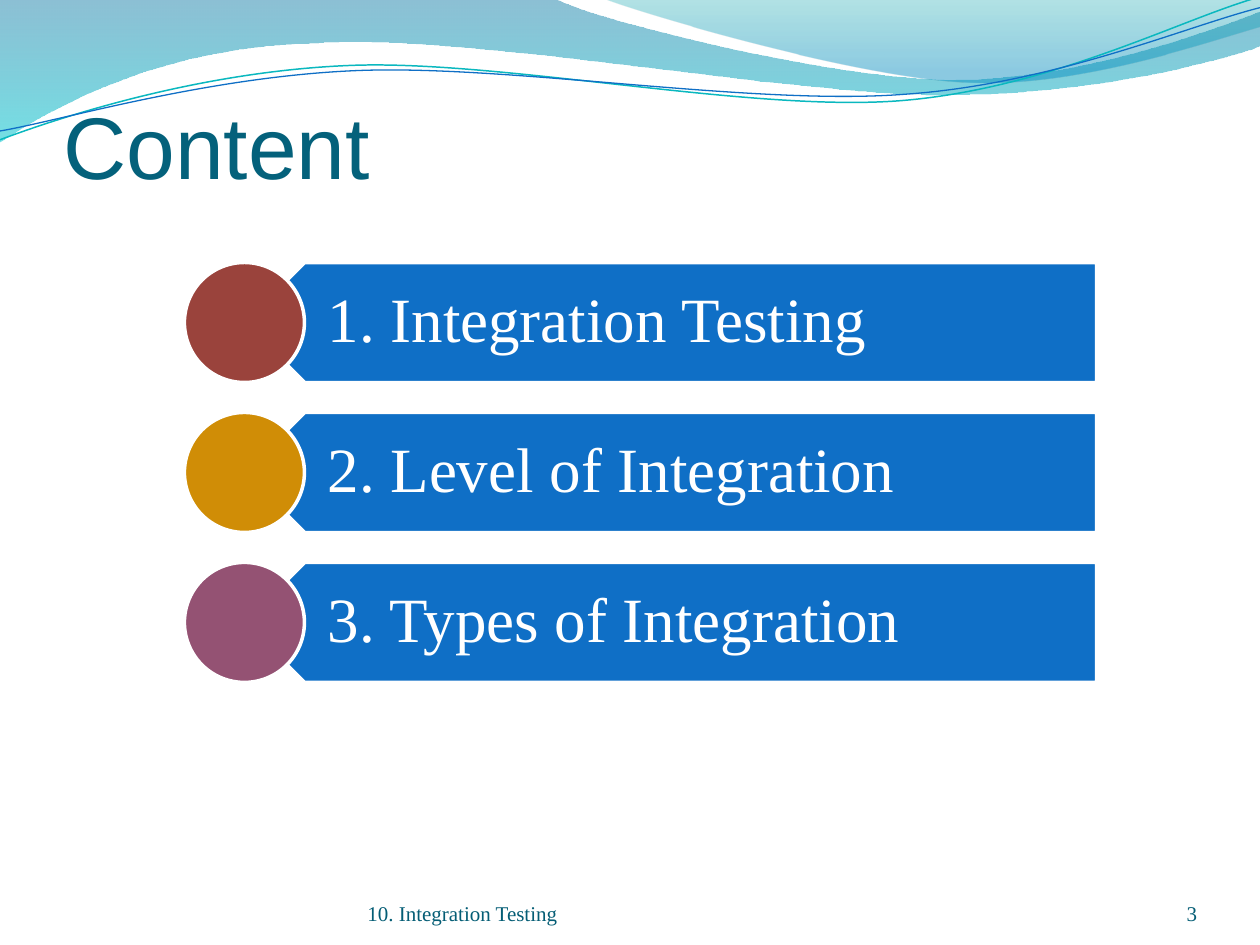
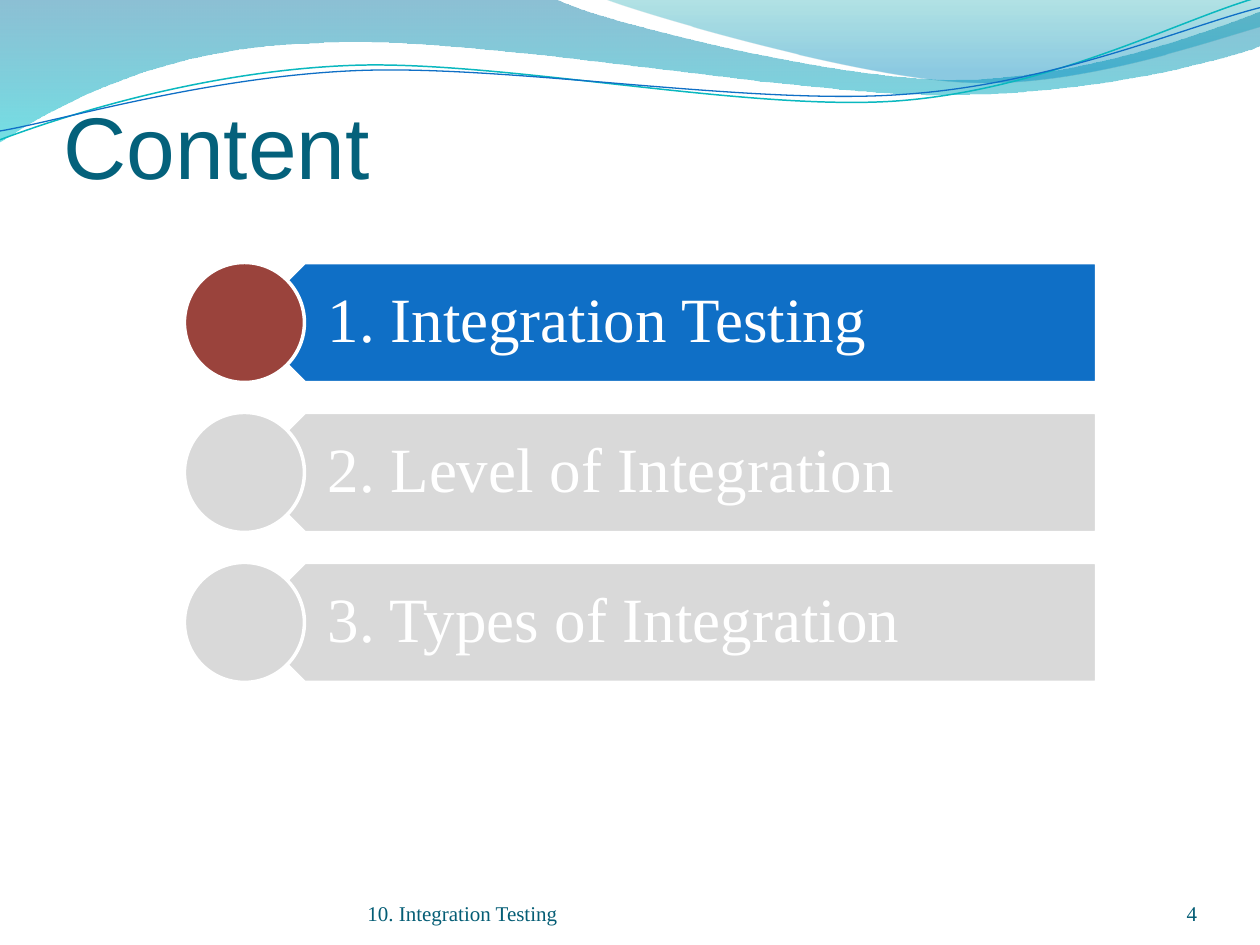
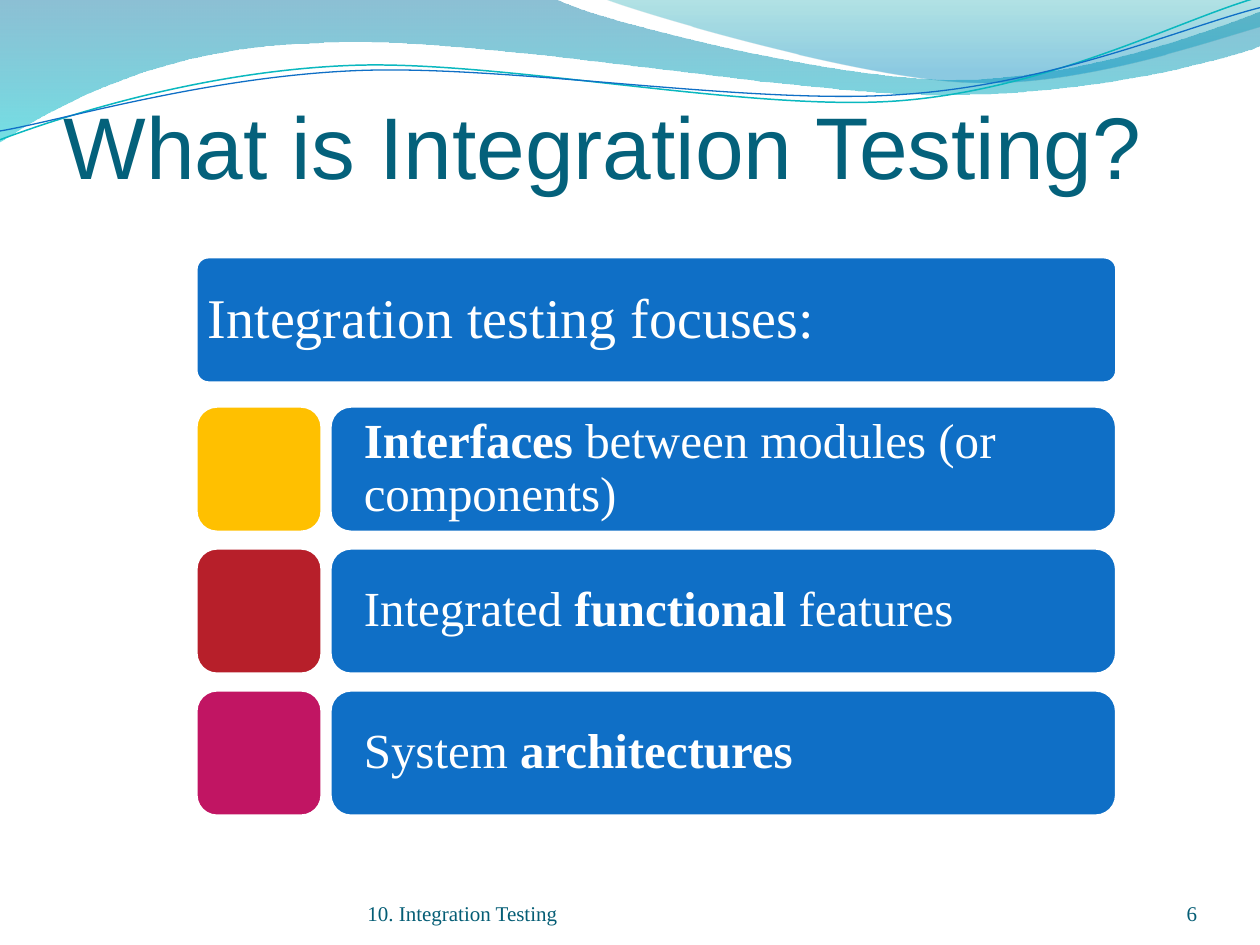
"""Build three slides on integration testing, with a wave header and footers."""
from itertools import islice
from lxml.etree import SubElement
from pptx import Presentation
from pptx.dml.color import RGBColor
from pptx.enum.shapes import MSO_SHAPE as Preset
from pptx.enum.text import MSO_ANCHOR as Anchor, PP_ALIGN as Align
from pptx.oxml.ns import qn
from pptx.util import Pt

WHITE = RGBColor(0xFF, 0xFF, 0xFF)
BLUE = RGBColor(0x0F, 0x6F, 0xC6)
TEAL = RGBColor(0x0A, 0xB8, 0xBF)
GRAY = RGBColor(0xD9, 0xD9, 0xD9)
TITLE_COLOR = RGBColor(0x04, 0x61, 0x7B)
FOOTER_COLOR = RGBColor(0x04, 0x5D, 0x75)
BRICK = RGBColor(0x9A, 0x43, 0x3C)
OCHRE = RGBColor(0xD0, 0x8D, 0x06)
MAUVE = RGBColor(0x94, 0x52, 0x73)
YELLOW = RGBColor(0xFF, 0xC0, 0x00)
RED = RGBColor(0xB7, 0x1F, 0x2A)
MAGENTA = RGBColor(0xC1, 0x15, 0x63)
DEEP_BLUE = RGBColor(0x00, 0x74, 0xA1)
AQUA = RGBColor(0x00, 0xC6, 0xCF)
SEA_GREEN = RGBColor(0x00, 0xA1, 0xA9)
SKY_BLUE = RGBColor(0x00, 0x8B, 0xBF)

TITLE = {"name": "Arial", "size": Pt(50), "color": TITLE_COLOR}
FOOTER = {"name": "Times New Roman", "size": Pt(12), "color": FOOTER_COLOR}
BODY = {"name": "Times New Roman", "color": WHITE}
TOPIC = {**BODY, "size": Pt(36)}
HEADING = {**BODY, "size": Pt(32)}
FOCUS = {**BODY, "size": Pt(28)}

LINE_TILT = -2.7
BANDS = [
    ((0, 0),
     [[(316.8, -0.72)],
      [(342.72, 12.24), (478.08, 45.36), (545.76, 45.36)],
      [(614.16, 45.36), (689.76, 18.72), (720, 6.48)],
      [(720.72, 25.92)],
      [(707.76, 31.68), (626.4, 54.72), (537.12, 54)],
      [(447.84, 54), (275.04, 20.16), (185.04, 24.48)],
      [(92.88, 25.92), (33.12, 59.76), (-0.72, 81.36)],
      [(0, 0)]],
     [(0, DEEP_BLUE, 45), (1, AQUA, 55)], None),
    ((344.88, -0.72),
     [[(366.48, 7.92), (491.04, 44.64), (553.68, 46.8)],
      [(616.32, 49.68), (691.92, 23.04), (720, 15.12)],
      [(720, 0)],
      [(344.88, -0.72)]],
     [(0, SEA_GREEN, 30), (0.8, SKY_BLUE, 45)], None),
    ((-1.4, 62.9),
     [[(33.7, 51.6), (114, 29.4), (199.8, 29.9)],
      [(284.8, 30.3), (425.8, 67.2), (512.4, 64.9)],
      [(599, 62.4), (676.4, 25.7), (720.2, 15.6)]],
     None, (TEAL, 0.85)),
    ((-1.2, 57.9),
     [[(33, 53.8), (118.3, 32.5), (204, 33)],
      [(290.5, 33.5), (428.9, 63.8), (515.5, 61.3)],
      [(601.4, 59.6), (678.5, 30.1), (721.4, 21.4)]],
     None, (BLUE, 0.75)),
]

TOPICS = ["1. Integration Testing", "2. Level of Integration", "3. Types of Integration"]
CONTENT_COLORS = [
    [(BRICK, BLUE), (OCHRE, BLUE), (MAUVE, BLUE)],
    [(BRICK, BLUE), (GRAY, GRAY), (GRAY, GRAY)],
]
FOCUSES = [
    (YELLOW, [("Interfaces", True), (" between modules (or components)", False)]),
    (RED, [("Integrated ", False), ("functional", True), (" features", False)]),
    (MAGENTA, [("System ", False), ("architectures", True)]),
]


def add_block(slide, preset, box, color, corner=None):
    """Add a filled preset shape with a white outline."""
    shape = slide.shapes.add_shape(preset, *map(Pt, box))
    shape.shadow.inherit = False
    shape.fill.solid()
    shape.fill.fore_color.rgb = color
    shape.line.color.rgb = WHITE
    shape.line.width = Pt(2)
    if corner:
        shape.adjustments[0] = corner
    return shape


def add_text(slide, box, runs, style, margins=(0, 0, 0, 0), anchor=Anchor.MIDDLE,
             align=Align.LEFT, spacing=0.9):
    """Add a text box with one paragraph of (text, bold) runs."""
    frame = slide.shapes.add_textbox(*map(Pt, box)).text_frame
    sides = ("margin_left", "margin_top", "margin_right", "margin_bottom")
    layout = {"word_wrap": True, "vertical_anchor": anchor, **dict(zip(sides, map(Pt, margins)))}
    for name, value in layout.items():
        setattr(frame, name, value)
    paragraph = frame.paragraphs[0]
    paragraph.alignment = align
    paragraph.line_spacing = spacing
    for text, bold in runs:
        run = paragraph.add_run()
        run.text = text
        run.font.bold = bold
        for name, value in style.items():
            if name == "color":
                run.font.color.rgb = value
            else:
                setattr(run.font, name, value)


presentation = Presentation()
presentation.slide_width = Pt(720)
presentation.slide_height = Pt(540)
content, progress, focus = [presentation.slides.add_slide(presentation.slide_layouts[6])
                            for _ in range(3)]

master_tree = presentation.slide_master.element.cSld.spTree
for number, (start, segments, gradient, stroke) in enumerate(BANDS, 101):
    outline = [(Pt(x), Pt(y)) for segment in segments for x, y in segment]
    builder = content.shapes.build_freeform(*map(Pt, start), scale=1.0)
    builder.add_line_segments(outline, close=gradient is not None)
    band = builder.convert_to_shape()
    band.shadow.inherit = False
    lines = iter(list(band.element.iter(qn("a:lnTo"))))
    for segment in segments:
        curve, *controls = islice(lines, len(segment))
        if controls:
            curve.tag = qn("a:cubicBezTo")
        for control in controls:
            curve.extend(list(control))
            control.getparent().remove(control)
    if gradient:
        band.line.fill.background()
        band.fill.gradient()
        band.fill.gradient_angle = 270
        for stop, (position, color, _) in zip(band.fill.gradient_stops, gradient):
            stop.position = position
            stop.color.rgb = color
        for element, (_, _, opacity) in zip(band.element.iter(qn("a:srgbClr")), gradient):
            SubElement(element, qn("a:alpha"), val=str(opacity * 1000))
    else:
        band.fill.background()
        band.line.color.rgb, band.line.width = stroke[0], Pt(stroke[1])
        band.rotation = LINE_TILT
    band.element.nvSpPr.cNvPr.set("id", str(number))
    master_tree.append(band.element)

for slide, title, number in [(content, "Content", "3"), (progress, "Content", "4"),
                             (focus, "What is Integration Testing?", "6")]:
    add_text(slide, (36.3, 47.8, 648, 64.8), [(title, False)], TITLE, (0, 3.6, 0, 0),
             Anchor.BOTTOM, spacing=1.0)
    add_text(slide, (210, 500.4, 264, 28.8), [("10. Integration Testing", False)], FOOTER,
             anchor=Anchor.BOTTOM, spacing=1.0)
    add_text(slide, (624, 500.4, 60, 28.8), [(number, False)], FOOTER,
             anchor=Anchor.BOTTOM, align=Align.RIGHT, spacing=1.0)

for slide, colors in zip((content, progress), CONTENT_COLORS):
    for index, (topic, (dot_color, bar_color)) in enumerate(zip(TOPICS, colors)):
        top = 150 + index * 85.7
        bar = add_block(slide, Preset.PENTAGON, (139.8, top, 486.8, 68.6), bar_color)
        bar.rotation = 180
        add_text(slide, (157, top, 469.4, 68.6), [(topic, False)], TOPIC, (30.2, 10.8, 20.2, 10.8))
        add_block(slide, Preset.OVAL, (105.4, top, 68.6, 68.6), dot_color)

add_block(focus, Preset.ROUNDED_RECTANGLE, (111.9, 146.7, 526.3, 72.2), BLUE, 0.1)
add_text(focus, (113.8, 149, 522, 68.4), [("Integration testing focuses:", False)], HEADING,
         (5, 2.9, 5, 2.9))
for index, (color, runs) in enumerate(FOCUSES):
    top = 232 + index * 81.1
    add_block(focus, Preset.ROUNDED_RECTANGLE, (111.9, top, 72.2, 72.2), color, 0.167)
    add_block(focus, Preset.ROUNDED_RECTANGLE, (188.5, top, 449.6, 72.2), BLUE, 0.167)
    add_text(focus, (192.1, top + 3.5, 442.8, 65.2), runs, FOCUS, (15.8,) * 4)

presentation.save("out.pptx")
